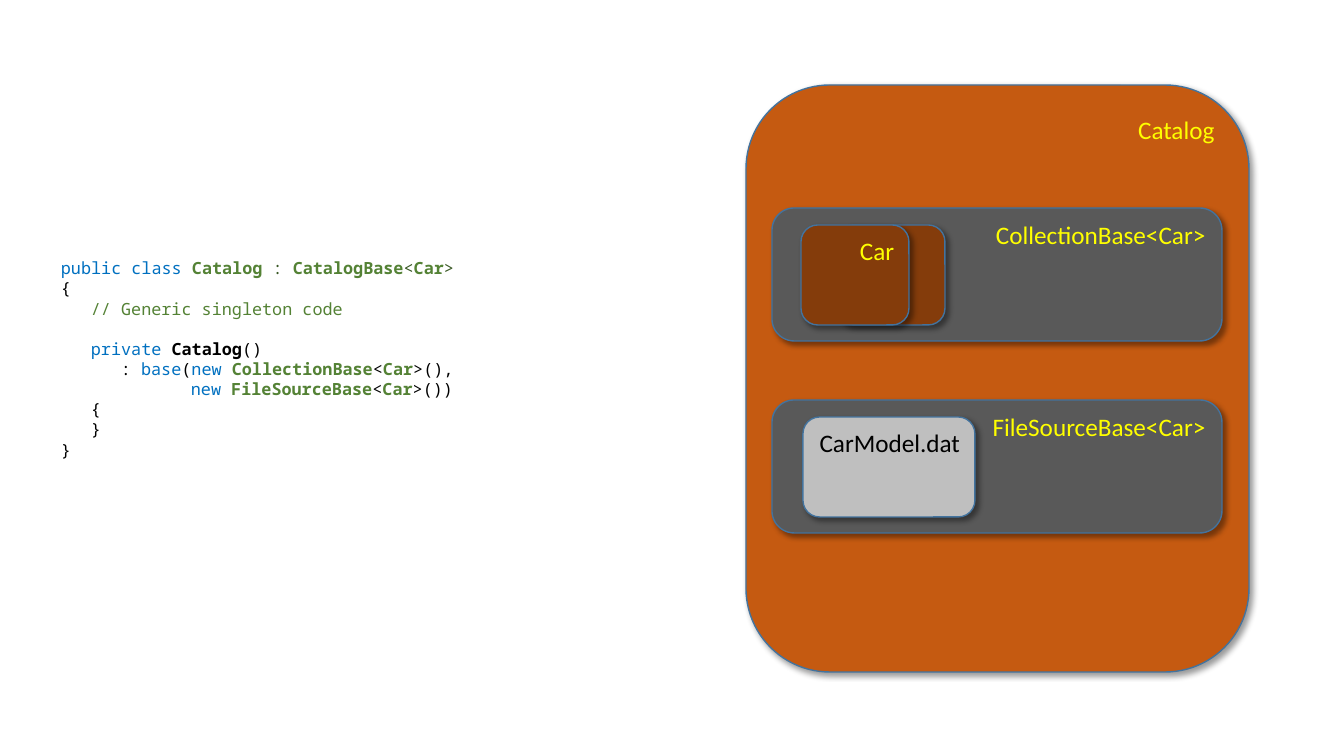
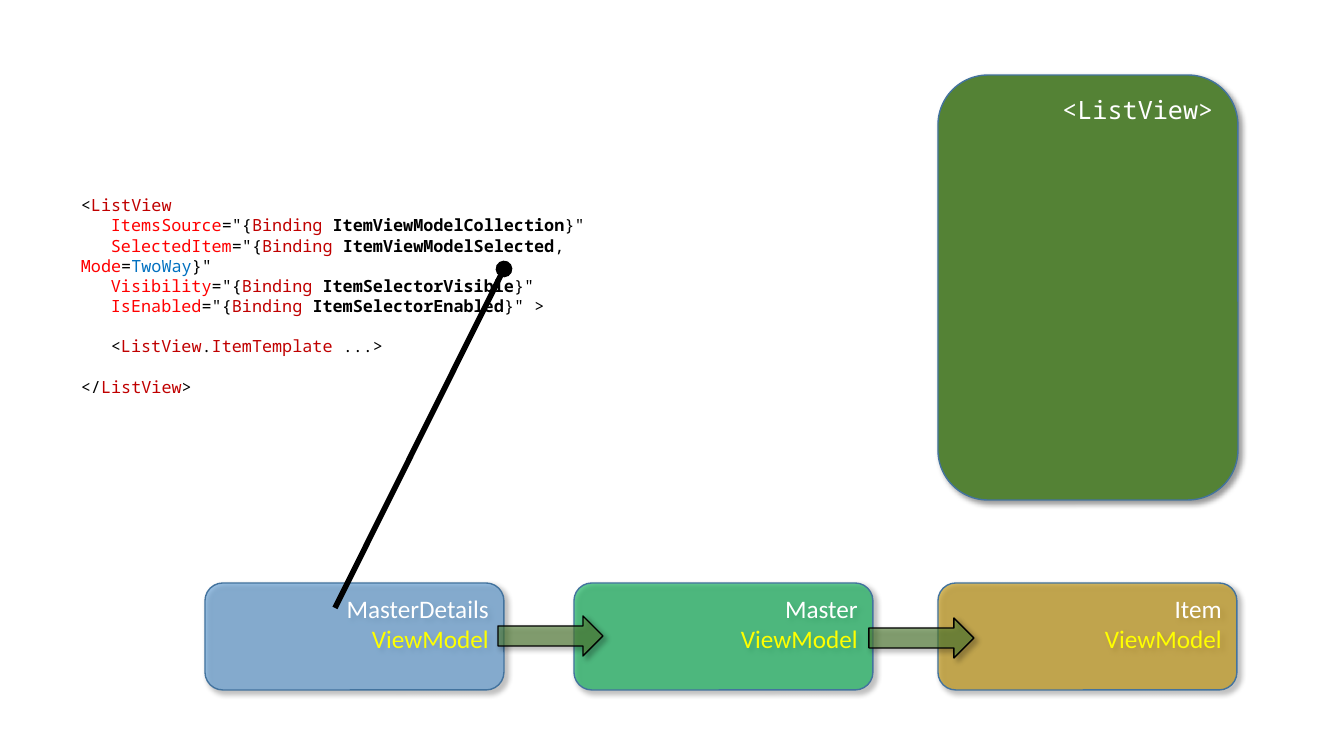
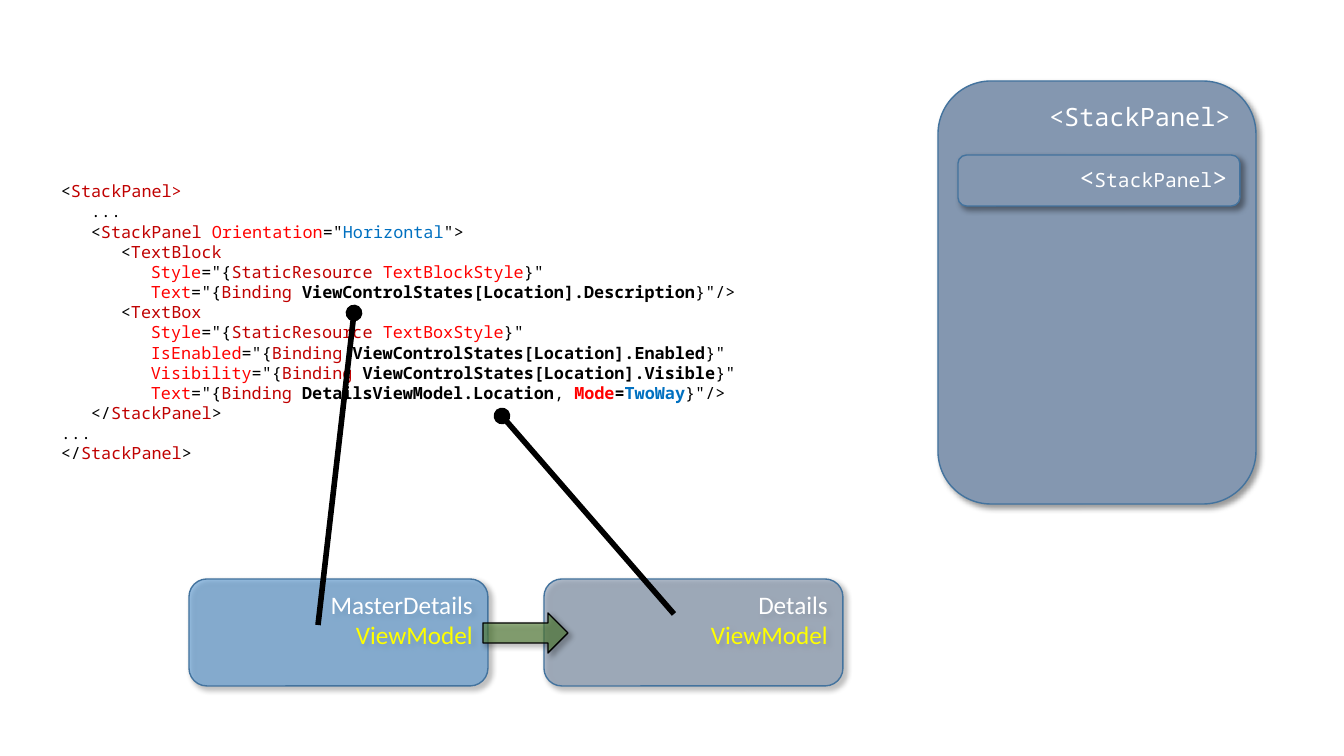
from lxml.etree import SubElement
from pptx import Presentation
from pptx.dml.color import RGBColor
from pptx.enum.shapes import MSO_CONNECTOR as Connector, MSO_SHAPE as Shape
from pptx.enum.text import MSO_ANCHOR as Anchor, PP_ALIGN as Align
from pptx.oxml.ns import qn
from pptx.util import Emu, Pt

BLACK, WHITE, YELLOW = "000000", "FFFFFF", "FFFF00"
OUTLINE, GREEN, BLUE, SLATE = "43739E", "548235", "5B9BD5", "8497B0"
ORANGE, GRAY, BROWN, SILVER = "C55A11", "595959", "843C0B", "BFBFBF"
LABEL, CODE = "Calibri", "Noto Sans Mono"
OPAQUE, GLASS = 100, 60
CODE_SIZE, CODE_PITCH, CHAR_WIDTH = 12, 14.4, 10


def text_format(color, font=CODE, size=CODE_SIZE, bold=False):
    return color, {"name": font, "size": Pt(size), "bold": bold}


FORMATS = {
    "plain": text_format(BLACK),
    "strong": text_format(BLACK, bold=True),
    "keyword": text_format("0070C0"),
    "keyvalue": text_format("0070C0", bold=True),
    "type": text_format(GREEN, bold=True),
    "comment": text_format(GREEN),
    "mark": text_format("385723"),
    "tag": text_format("C00000"),
    "attribute": text_format("FF0000"),
    "keyattribute": text_format("FF0000", bold=True),
    "yellow": text_format(YELLOW, LABEL, 18),
    "white": text_format(WHITE, LABEL, 18),
    "black": text_format(BLACK, LABEL, 18),
    "element": text_format(WHITE, CODE, 18),
    "inner": text_format(WHITE, CODE, 14),
}


def binding(attribute, target, *ending):
    return [(attribute, "attribute"), ('="{', "plain"), ("Binding ", "tag"),
            (target, "strong"), *ending]


def style_line(name):
    return [("Style", "attribute"), ('="{', "plain"), ("StaticResource ", "tag"),
            (name, "attribute"), ('}"', "plain")]


def new_base(name, ending):
    return [("new ", "keyword"), (name, "type"), ("<", "plain"), ("Car", "type"),
            (ending, "plain")]


def tag_line(opening, name, closing=""):
    return [(opening, "plain"), (name, "tag"), (closing, "plain")][:3 if closing else 2]


def view_model(left, top, fill, name):
    lines = [[(name, "white")], [("ViewModel", "yellow")]]
    return "card", (left, top, 299, 107), fill, GLASS, lines


CLOSE = ('}"', "plain")

CATALOG_CODE = [
    (0, 0, [("public class ", "keyword"), ("Catalog", "type"), (" : ", "mark"),
            ("CatalogBase", "type"), ("<", "mark"), ("Car", "type"), (">", "mark")]),
    (0, 0, [("{", "plain")]),
    (3, 0, [("// Generic singleton code", "comment")]),
    (3, 1, [("private ", "keyword"), ("Catalog", "strong"), ("()", "plain")]),
    (6, 0, [(": ", "plain"), ("base", "keyword"), ("(", "plain"),
            *new_base("CollectionBase", ">(),")]),
    (13, 0, new_base("FileSourceBase", ">())")),
    (3, 0, [("{", "plain")]),
    (3, 0, [("}", "plain")]),
    (0, 0, [("}", "plain")]),
]

LIST_CODE = [
    (0, 0, tag_line("<", "ListView")),
    (3, 0, binding("ItemsSource", "ItemViewModelCollection", CLOSE)),
    (3, 0, binding("SelectedItem", "ItemViewModelSelected", (", ", "plain"),
                   ("Mode", "attribute"), ("=", "plain"), ("TwoWay", "keyword"), CLOSE)),
    (3, 0, binding("Visibility", "ItemSelectorVisible", CLOSE)),
    (3, 0, binding("IsEnabled", "ItemSelectorEnabled", ('}" >', "plain"))),
    (3, 1, [*tag_line("<", "ListView", "."), ("ItemTemplate ", "tag"), ("...>", "plain")]),
    (0, 1, tag_line("</", "ListView", ">")),
]

PANEL_CODE = [
    (0, 0, tag_line("<", "StackPanel>")),
    (3, 0, [("...", "plain")]),
    (3, 0, [*tag_line("<", "StackPanel "), ("Orientation", "attribute"), ('="', "plain"),
            ("Horizontal", "keyword"), ('">', "plain")]),
    (6, 0, tag_line("<", "TextBlock")),
    (9, 0, style_line("TextBlockStyle")),
    (9, 0, binding("Text", "ViewControlStates[Location].Description", ('}"/>', "plain"))),
    (6, 0, tag_line("<", "TextBox")),
    (9, 0, style_line("TextBoxStyle")),
    (9, 0, binding("IsEnabled", "ViewControlStates[Location].Enabled", CLOSE)),
    (9, 0, binding("Visibility", "ViewControlStates[Location].Visible", CLOSE)),
    (9, 0, binding("Text", "DetailsViewModel.Location", (", ", "plain"),
                   ("Mode", "keyattribute"), ("=", "strong"), ("TwoWay", "keyvalue"),
                   ('}"/>', "plain"))),
    (3, 0, tag_line("</", "StackPanel", ">")),
    (0, 0, [("...", "plain")]),
    (0, 0, tag_line("</", "StackPanel", ">")),
]

PAGES = [
    [
        ("card", (746, 85, 503, 587), ORANGE, OPAQUE, [[("Catalog", "yellow")]]),
        ("card", (772, 208, 450, 133), GRAY, OPAQUE, [[("CollectionBase<Car>", "yellow")]]),
        ("card", (837, 225, 108, 100), BROWN, OPAQUE, []),
        ("card", (801, 225, 108, 100), BROWN, OPAQUE, [[("Car", "yellow")]]),
        ("card", (772, 400, 450, 133), GRAY, OPAQUE, [[("FileSourceBase<Car>", "yellow")]]),
        ("card", (803, 417, 172, 100), SILVER, OPAQUE, [[("CarModel.dat", "black")]]),
        ("code", (51, 253, 617, 214), CATALOG_CODE),
    ],
    [
        ("code", (71, 190, 617, 214), LIST_CODE),
        ("card", (938, 75, 300, 425), GREEN, OPAQUE, [[("<ListView>", "element")]]),
        view_model(574, 583, "00B050", "Master"),
        view_model(205, 583, BLUE, "MasterDetails"),
        ("link", (335, 608), (504, 269)),
        ("arrow", (498, 616, 105, 40)),
        view_model(938, 583, "BF9000", "Item"),
        ("arrow", (869, 618, 105, 40)),
    ],
    [
        ("code", (51, 176, 827, 316), PANEL_CODE),
        ("card", (938, 81, 318, 423), SLATE, OPAQUE, [[("<StackPanel>", "element")]]),
        ("card", (958, 155, 282, 51), SLATE, OPAQUE,
         [[("<", "element"), ("StackPanel", "inner"), (">", "element")]]),
        view_model(544, 579, SLATE, "Details"),
        view_model(189, 579, BLUE, "MasterDetails"),
        ("link", (674, 614), (502, 416)),
        ("link", (318, 625), (354, 313)),
        ("arrow", (483, 613, 85, 40)),
    ],
]

SCALE = 914400 / 100.8


def px(value):
    return Emu(round(value * SCALE))


def rgb(color):
    return RGBColor.from_string(color)


def write_spans(para, spans):
    for text, style in spans:
        span = para.add_run()
        span.text = text
        color, values = FORMATS[style]
        for key, value in values.items():
            setattr(span.font, key, value)
        span.font.color.rgb = rgb(color)


def paragraphs(frame, count):
    for index in range(count):
        yield frame.add_paragraph() if index else frame.paragraphs[0]


def add_solid(page, kind, place, fill, opacity, outline):
    box = page.shapes.add_shape(kind, *map(px, place))
    box.fill.solid()
    box.fill.fore_color.rgb = rgb(fill)
    box.line.color.rgb = rgb(outline)
    box.line.width = Pt(1)
    box.shadow.inherit = False
    properties = box.element.spPr
    if opacity < OPAQUE:
        color = properties.find(qn("a:solidFill")).find(qn("a:srgbClr"))
        SubElement(color, qn("a:alpha"), val=str(opacity * 1000))
    shadow = SubElement(properties.find(qn("a:effectLst")), qn("a:outerShdw"),
                        blurRad=str(Pt(4)), dist=str(Pt(3)), dir="2700000",
                        algn="tl", rotWithShape="0")
    color = SubElement(shadow, qn("a:srgbClr"), val=BLACK)
    SubElement(color, qn("a:alpha"), val="40000")
    return box


def add_card(page, place, fill, opacity, lines):
    frame = add_solid(page, Shape.ROUNDED_RECTANGLE, place, fill, opacity, OUTLINE).text_frame
    frame.word_wrap = True
    frame.vertical_anchor = Anchor.TOP
    for para, spans in zip(paragraphs(frame, len(lines)), lines):
        para.alignment = Align.RIGHT
        write_spans(para, spans)


def add_arrow(page, place):
    add_solid(page, Shape.RIGHT_ARROW, place, GREEN, GLASS, BLACK)


def add_code(page, place, lines):
    frame = page.shapes.add_textbox(*map(px, place)).text_frame
    frame.word_wrap = True
    for para, (indent, gap, spans) in zip(paragraphs(frame, len(lines)), lines):
        para.line_spacing = Pt(CODE_PITCH)
        para.space_before = Pt(gap * CODE_PITCH)
        para._p.get_or_add_pPr().set("indent", str(px(indent * CHAR_WIDTH)))
        write_spans(para, spans)


def add_link(page, start, end):
    link = page.shapes.add_connector(Connector.STRAIGHT, *map(px, start + end))
    link.line.color.rgb = rgb(BLACK)
    link.line.width = Pt(4)
    properties = link.element.spPr
    SubElement(properties.find(qn("a:ln")), qn("a:tailEnd"), type="oval")
    SubElement(properties, qn("a:effectLst"))


BUILDERS = {"card": add_card, "arrow": add_arrow, "code": add_code, "link": add_link}

deck = Presentation()
deck.slide_width, deck.slide_height = px(1344), px(756)
blank_layout = deck.slide_layouts[6]
for parts in PAGES:
    page = deck.slides.add_slide(blank_layout)
    for kind, *values in parts:
        BUILDERS[kind](page, *values)
deck.save("out.pptx")
